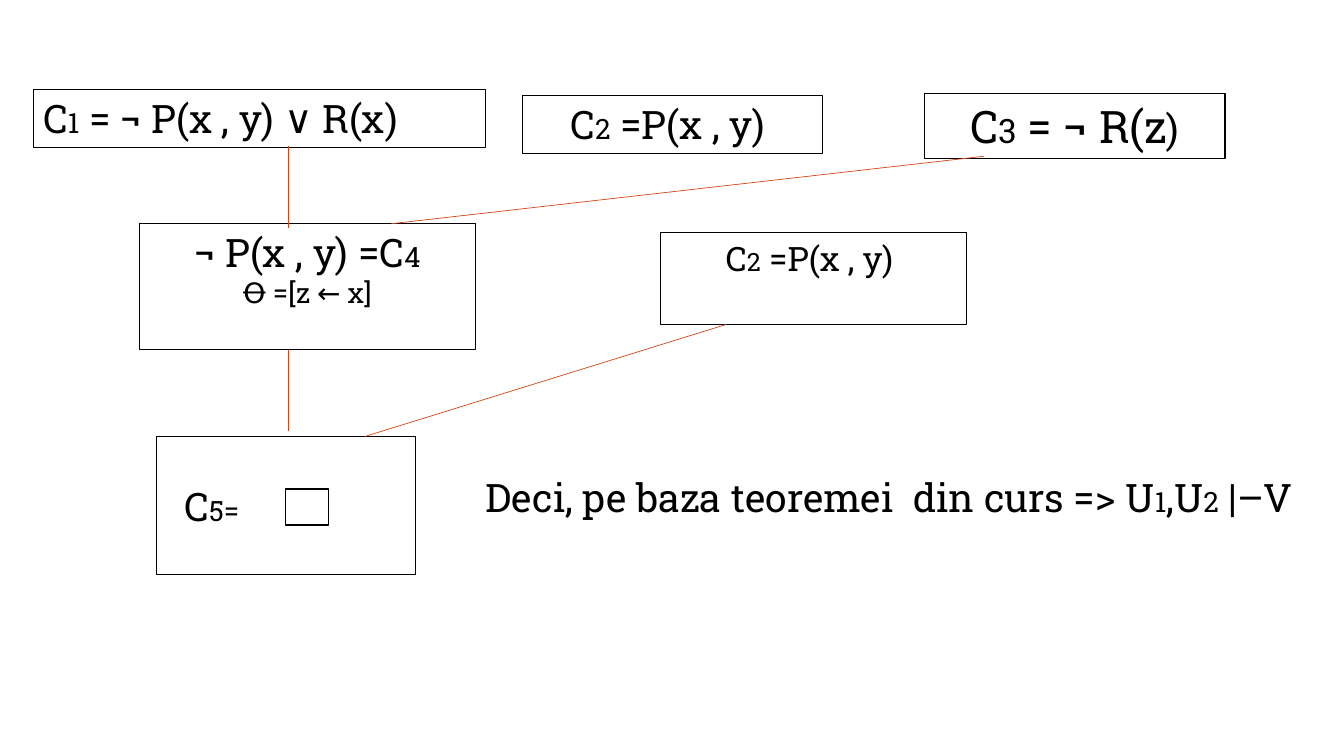
"""Draw a resolution tree of five clauses and its conclusion."""
from lxml.etree import SubElement
from pptx import Presentation
from pptx.dml.color import RGBColor
from pptx.enum.shapes import MSO_CONNECTOR as Link, MSO_SHAPE as Shape
from pptx.enum.text import MSO_ANCHOR as Anchor, PP_ALIGN as Align
from pptx.oxml.ns import qn
from pptx.util import Inches, Pt

FONT = "Roboto Slab"
BLACK, WHITE, RUST = "000000", "FFFFFF", "D34817"

C1 = [[("C", 28), ("1", 20), (" = ¬ P(x , y) ∨ R(x)", 28)]]
C2 = [[("C", 28), ("2", 20), (" =P(x , y) ", 28)]]
C3 = [[("C", 32), ("3", 24), (" = ¬ R(z", 32), (")", 28)]]
C4 = [[("¬ P(x , y) =C", 28), ("4", 20)], [("Ꝋ =[z ← x]", 20)]]
C2_AGAIN = [[("C", 24), ("2", 18), (" =P(x , y) ", 24)]]
C5 = [[("C", 28), ("5=", 20)]]
PROOF = [[("Deci, pe baza teoremei  din curs => U", 28), ("1", 20),
          (",U", 28), ("2", 20), (" |–V", 28)]]

CLAUSES = [
    (C1, (0.33, 0.89, 4.49, 0.57), Align.LEFT),
    (C3, (9.17, 0.93, 2.98, 0.64), Align.CENTER),
    (C2, (5.18, 0.95, 2.98, 0.57), Align.CENTER),
    (C4, (1.38, 2.22, 3.34, 1.25), Align.CENTER),
    (C2_AGAIN, (6.55, 2.31, 3.04, 0.91), Align.CENTER),
]
RESULT = (1.55, 4.33, 2.57, 1.37)
EMPTY = (2.83, 4.85, 0.43, 0.36)
PROOF_AT = (4.72, 4.65, 8.5, 0.57)
LINKS = [
    (2.86, 1.45, 2.86, 2.26),
    (9.76, 1.55, 3.88, 2.22),
    (2.86, 3.47, 2.86, 4.28),
    (7.2, 3.22, 3.62, 4.33),
]


def color(code):
    return RGBColor.from_string(code)


def write(shape, lines, align=Align.LEFT, anchor=Anchor.TOP, left=0.1):
    frame = shape.text_frame
    frame.word_wrap = True
    frame.vertical_anchor = anchor
    frame.margin_left = Inches(left)
    for i, line in enumerate(lines):
        para = frame.add_paragraph() if i else frame.paragraphs[0]
        para.alignment = align
        for text, size in line:
            run = para.add_run()
            run.text = text
            run.font.name = FONT
            run.font.size = Pt(size)
            run.font.color.rgb = color(BLACK)


def box(shapes, place, width, fill=None):
    rect = shapes.add_shape(Shape.RECTANGLE, *map(Inches, place))
    rect.shadow.inherit = False
    if fill:
        rect.fill.solid()
        rect.fill.fore_color.rgb = color(fill)
    else:
        rect.fill.background()
    rect.line.color.rgb = color(BLACK)
    rect.line.width = Pt(width)
    return rect


def link(shapes, ends):
    line = shapes.add_connector(Link.STRAIGHT, *map(Inches, ends))
    line.line.color.rgb = color(RUST)
    line.line.width = Pt(0.5)
    SubElement(line._element.spPr, qn("a:effectLst"))


def main():
    deck = Presentation()
    deck.slide_width, deck.slide_height = Inches(13.33), Inches(7.5)
    shapes = deck.slides.add_slide(deck.slide_layouts[6]).shapes

    write(box(shapes, RESULT, 1, WHITE), C5, anchor=Anchor.MIDDLE, left=0.28)
    for lines, place, align in CLAUSES:
        write(box(shapes, place, 0.75), lines, align)
    box(shapes, EMPTY, 1, WHITE)
    for ends in LINKS:
        link(shapes, ends)
    write(shapes.add_textbox(*map(Inches, PROOF_AT)), PROOF)

    deck.save("out.pptx")


if __name__ == "__main__":
    main()
